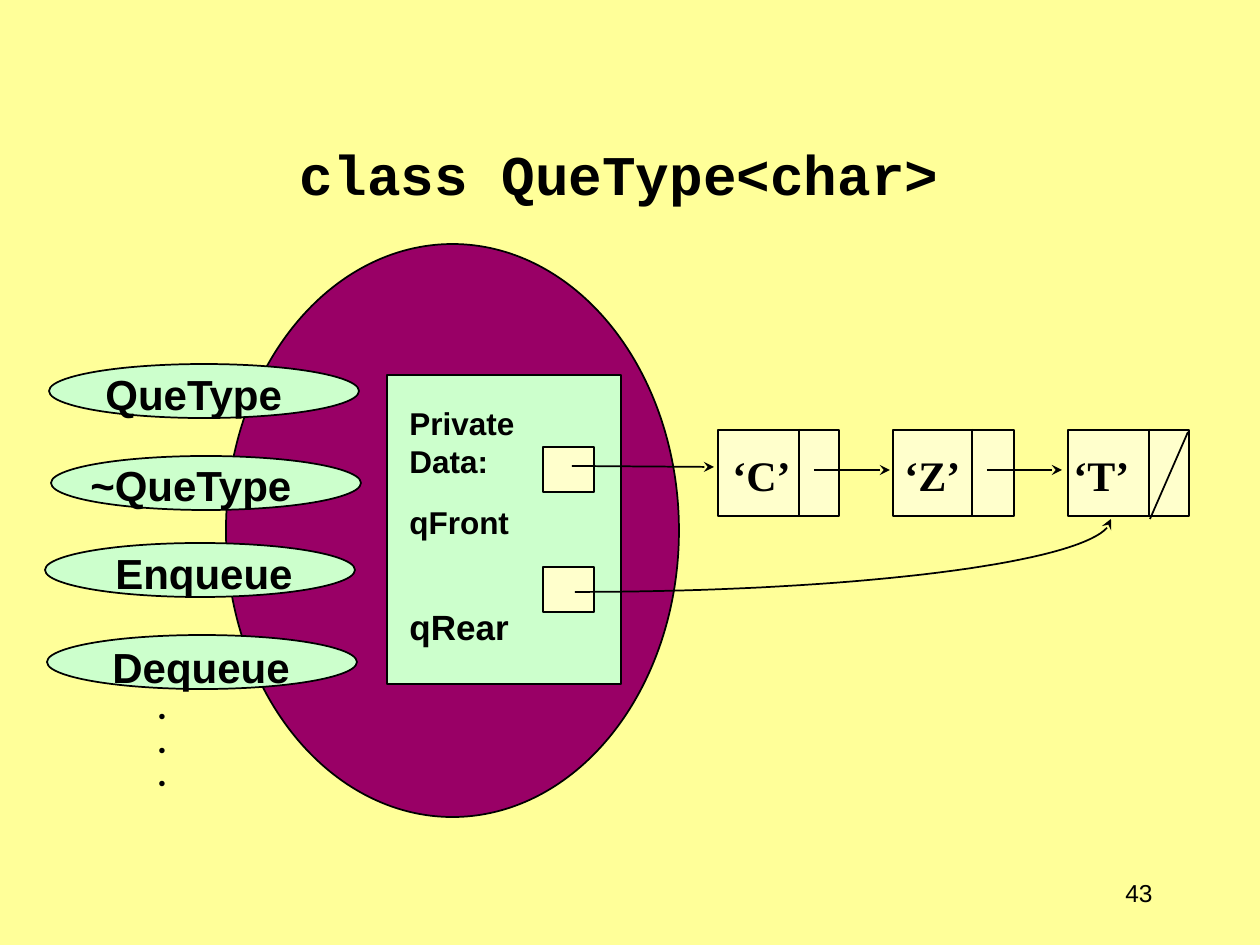
"""Build the slide showing class QueType<char> as a linked queue."""
from math import cos, pi, sin
from pptx import Presentation
from pptx.dml.color import RGBColor
from pptx.enum.shapes import MSO_CONNECTOR as Line, MSO_SHAPE as Form
from pptx.enum.text import MSO_ANCHOR as Anchor, PP_ALIGN as Align
from pptx.oxml.ns import qn
from pptx.util import Pt
from lxml.etree import SubElement

PX = 914400 // 126
BLACK = RGBColor(0, 0, 0)
PAPER = RGBColor(0xFF, 0xFF, 0x99)
PLUM = RGBColor(0x99, 0x00, 0x66)
MINT = RGBColor(0xCC, 0xFF, 0xCC)
CREAM = RGBColor(0xFF, 0xFF, 0xCC)

deck = Presentation()
deck.slide_width, deck.slide_height = 1260 * PX, 945 * PX
slide = deck.slides.add_slide(deck.slide_layouts[6])
slide.background.fill.solid()
slide.background.fill.fore_color.rgb = PAPER
shapes = slide.shapes


def block(form, x, y, w, h, fill):
    shape = shapes.add_shape(form, x * PX, y * PX, w * PX, h * PX)
    shape.shadow.inherit = False
    shape.fill.solid()
    shape.fill.fore_color.rgb = fill
    shape.line.color.rgb = BLACK
    shape.line.width = Pt(1)


def label(x, y, w, h, rows, anchor=Anchor.TOP, align=Align.LEFT):
    frame = shapes.add_textbox(x * PX, y * PX, w * PX, h * PX).text_frame
    frame.word_wrap = True
    frame.vertical_anchor = anchor
    for i, (text, face, size, bold, gap, indent) in enumerate(rows):
        para = frame.add_paragraph() if i else frame.paragraphs[0]
        para.text = text
        para.alignment = align
        para.space_before = Pt(gap)
        para.font.name, para.font.size = face, Pt(size)
        para.font.bold, para.font.color.rgb = bold, BLACK
        if indent:
            para._p.get_or_add_pPr().set("marL", str(indent * PX))


label(1081, 861, 84, 63, [("43", "Arial", 14, False, 0, 0)],
      Anchor.MIDDLE, Align.RIGHT)
block(Form.OVAL, 226, 244, 453, 573, PLUM)
label(79, 55, 1081, 158, [("class QueType<char>", "Courier New", 32, True, 0, 0)],
      Anchor.BOTTOM, Align.CENTER)

dots = [(".", "Montserrat", 16, True, 0, 46)] * 3
methods = [
    ("QueType", 49, 364, 93, 362, []),
    ("~QueType", 51, 456, 78, 453, []),
    ("Enqueue", 45, 543, 103, 541, []),
    ("Dequeue", 47, 635, 100, 635, dots),
]
for name, x, y, left, top, more in methods:
    block(Form.OVAL, x, y, 310, 54, MINT)
for name, x, y, left, top, more in methods:
    label(left, top, 230, 164 if more else 63,
          [(name, "Arial", 24, True, 0, 0)] + more)

block(Form.RECTANGLE, 387, 375, 234, 309, MINT)
for y in (447, 567):
    block(Form.RECTANGLE, 543, y, 51, 45, CREAM)
label(397, 398, 146, 250, [
    ("Private Data:", "Arial", 18, True, 0, 0),
    ("qFront", "Arial", 18, True, 13, 0),
    ("qRear", "Arial", 20, True, 37.5, 0),
])

nodes = [("‘C’", 718, 720, 799), ("‘Z’", 893, 892, 972), ("‘T’", 1068, 1061, 1149)]
for text, x, left, bar in nodes:
    block(Form.RECTANGLE, x, 430, 121, 86, CREAM)
    label(left, 443, 85, 63, [(text, "Times New Roman", 24, True, 0, 0)])

strokes = [(bar, 429, bar, 517, False) for text, x, left, bar in nodes]
strokes += [
    (1188, 432, 1150, 519, False),
    (572, 466, 714, 467, True),
    (814, 470, 890, 470, True),
    (987, 470, 1062, 470, True),
]
for x1, y1, x2, y2, arrow in strokes:
    link = shapes.add_connector(Line.STRAIGHT, x1 * PX, y1 * PX, x2 * PX, y2 * PX)
    link.line.color.rgb = BLACK
    link.line.width = Pt(1)
    if arrow:
        SubElement(link.line._get_or_add_ln(), qn("a:tailEnd"), type="stealth")
    SubElement(link._element.spPr, qn("a:effectLst"))

steps = 40
arc = [(round((575 + 536 * cos(pi / 2 * i / steps)) * PX),
        round((519 + 73 * sin(pi / 2 * i / steps)) * PX)) for i in range(steps + 1)]
pen = shapes.build_freeform(*arc[0])
pen.add_line_segments(arc[1:], close=False)
curve = pen.convert_to_shape()
curve.shadow.inherit = False
curve.fill.background()
curve.line.color.rgb = BLACK
curve.line.width = Pt(1)
SubElement(curve.line._get_or_add_ln(), qn("a:headEnd"), type="stealth")

deck.save("out.pptx")
